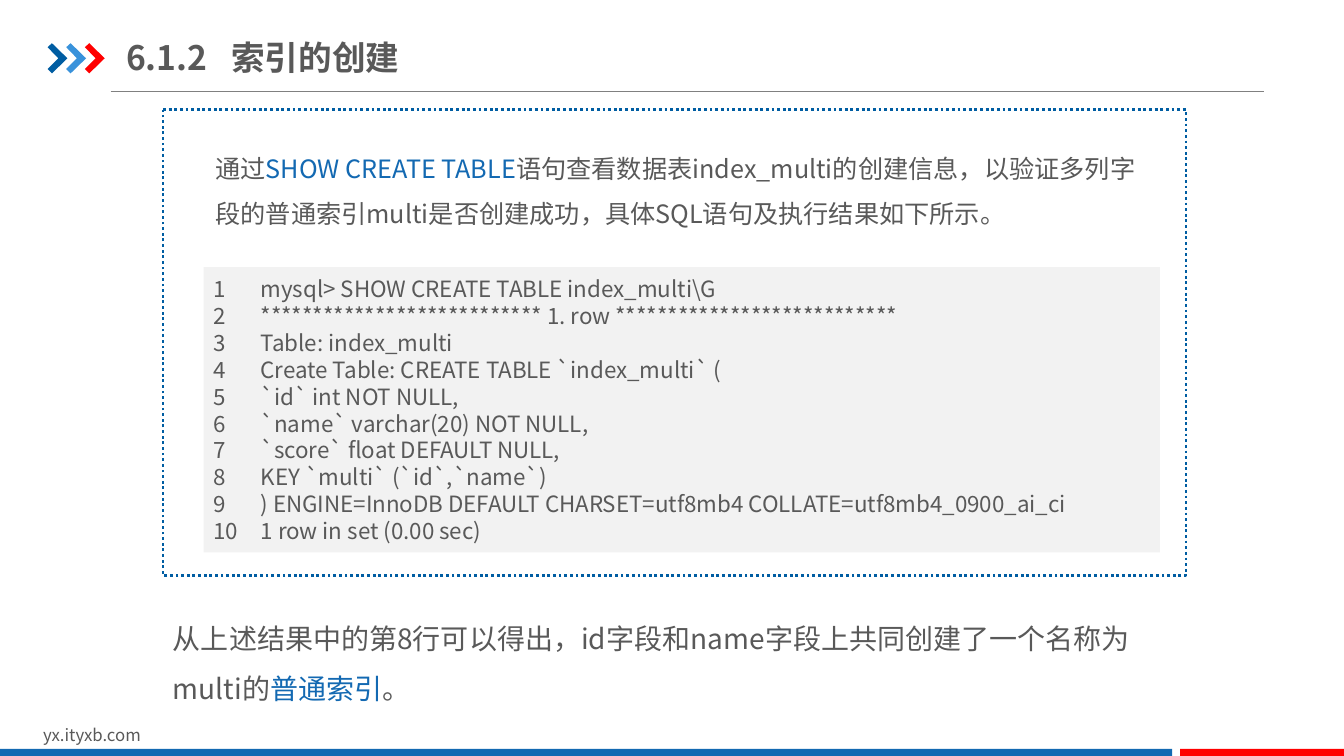
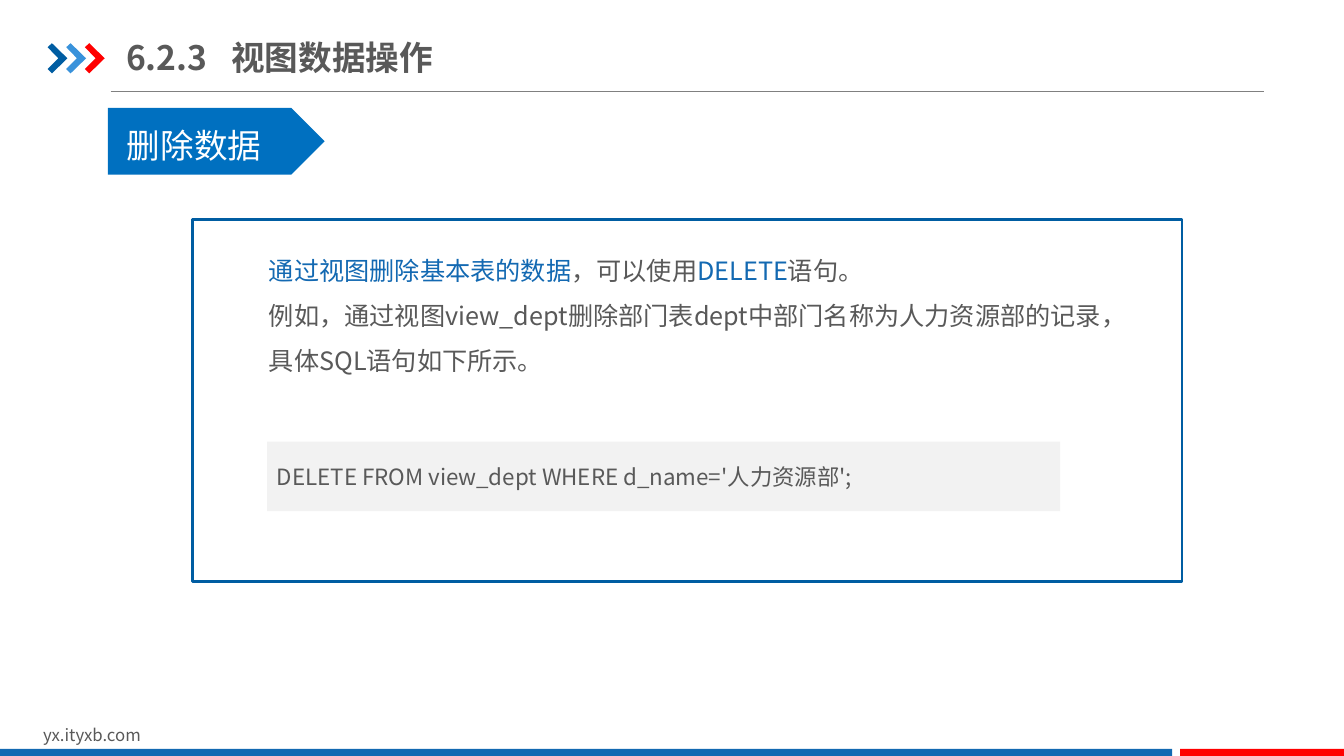
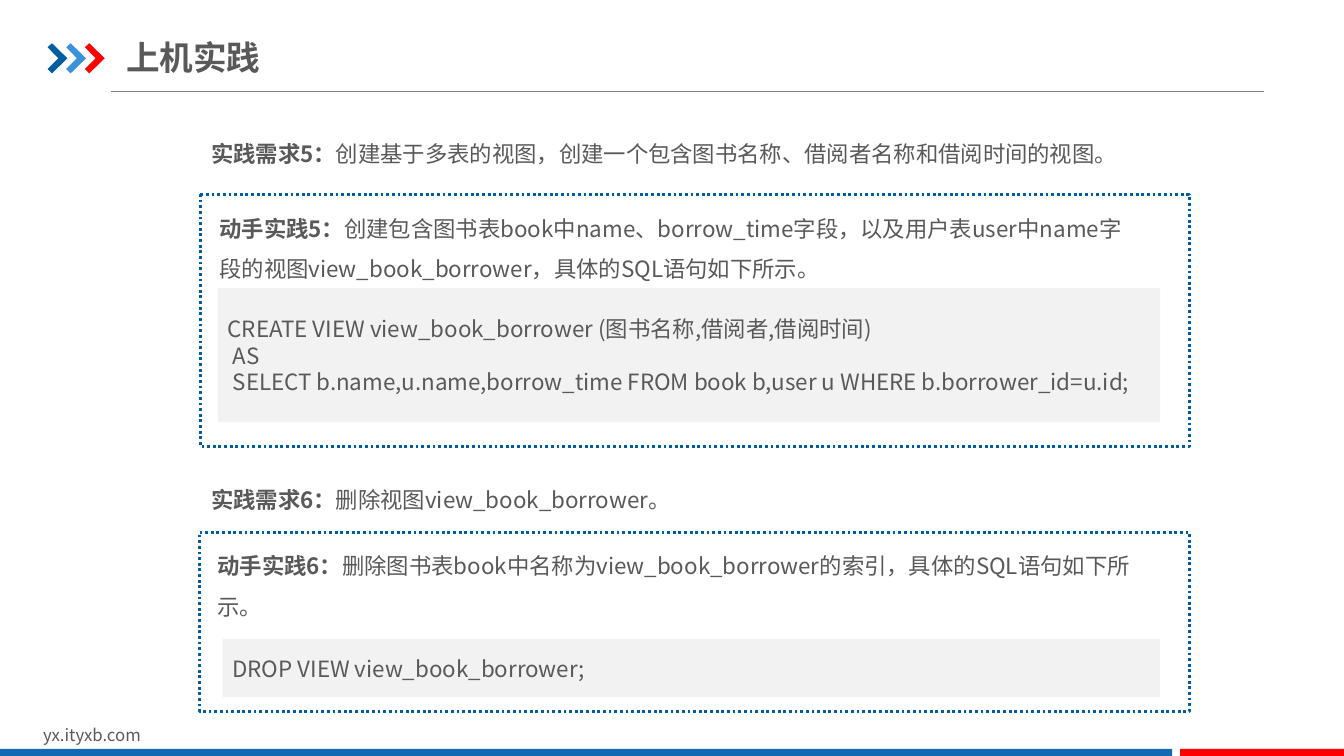
from lxml import etree
from pptx import Presentation
from pptx.dml.color import RGBColor
from pptx.enum.dml import MSO_LINE
from pptx.enum.shapes import MSO_CONNECTOR, MSO_SHAPE
from pptx.enum.text import MSO_ANCHOR, MSO_AUTO_SIZE, PP_ALIGN
from pptx.oxml.ns import qn
from pptx.util import Cm, Pt

# Enum members
RECT, PLATE = MSO_SHAPE.RECTANGLE, MSO_SHAPE.PENTAGON
PROCESS = MSO_SHAPE.FLOWCHART_PROCESS
STRAIGHT = MSO_CONNECTOR.STRAIGHT
DOTS, SOLID = MSO_LINE.ROUND_DOT, MSO_LINE.SOLID
LEFT, MIDDLE = PP_ALIGN.LEFT, MSO_ANCHOR.MIDDLE
GROW, FIXED = MSO_AUTO_SIZE.SHAPE_TO_FIT_TEXT, MSO_AUTO_SIZE.NONE

# Colours and font
WHITE = RGBColor(0xFF, 0xFF, 0xFF)
INK = RGBColor(0x59, 0x59, 0x59)
GREY = RGBColor(0x80, 0x80, 0x80)
PALE = RGBColor(0xF2, 0xF2, 0xF2)
NAVY = RGBColor(0x00, 0x5D, 0xA2)
SKY = RGBColor(0x39, 0x92, 0xDB)
BLUE = RGBColor(0x13, 0x69, 0xB2)
AZURE = RGBColor(0x00, 0x70, 0xC0)
RED = RGBColor(0xFF, 0x00, 0x00)
FACE = "Noto Sans CJK SC"

WIDTH, HEIGHT = 33.87, 19.05
ARROW = [(0, 0.1), (0.11, 0), (0.5, 0.38), (0.11, 0.76), (0, 0.65), (0.27, 0.38)]


def apply(item, values):
    for name, value in values.items():
        setattr(item, name, value)


def blue(text):
    return text, {"color": BLUE}


def bold(text):
    return text, {"bold": True}


class Deck:
    """Holds the style and the current slide."""

    def __init__(self):
        self.prs = Presentation()
        apply(self.prs, {"slide_width": Cm(WIDTH), "slide_height": Cm(HEIGHT)})
        self.slide = None

    def page(self, title):
        self.slide = self.prs.slides.add_slide(self.prs.slide_layouts[5])
        # Title
        head = self.slide.shapes.title
        apply(head, {"left": Cm(3.18), "top": Cm(0.74),
                     "width": Cm(11.79), "height": Cm(1.4)})
        apply(head.text_frame, {
            "auto_size": FIXED, "vertical_anchor": MIDDLE,
            "margin_left": 0, "margin_right": 0,
            "margin_top": Cm(0.18), "margin_bottom": Cm(0.18)})
        self.fill(head.text_frame, [[bold(title)]], 24, tab=2.65)
        # Rule and arrows
        rule = self.slide.shapes.add_connector(
            STRAIGHT, Cm(2.79), Cm(2.31), Cm(31.85), Cm(2.31))
        rule.line.width = Pt(0.75)
        rule.line.color.rgb = GREY
        etree.SubElement(rule._element.spPr, qn("a:effectLst"))
        for i, color in enumerate((NAVY, SKY, RED)):
            self.arrow(1.2 + 0.47 * i, 1.09, color)
        # Footer
        self.text((0.84, 18.14, 8.08, 0.76), [["yx.ityxb.com"]], 12)
        for left, right, color in ((0, 29.54, BLUE), (29.74, WIDTH, RED)):
            self.block(RECT, (left, 18.87, right - left, 0.18), color)

    def paint(self, shape, color):
        shape.shadow.inherit = False
        shape.fill.solid()
        shape.fill.fore_color.rgb = color
        shape.line.fill.background()

    def arrow(self, left, top, color):
        points = [(Cm(left + x), Cm(top + y)) for x, y in ARROW]
        pen = self.slide.shapes.build_freeform(*points[0])
        pen.add_line_segments(points[1:], close=True)
        self.paint(pen.convert_to_shape(), color)

    def block(self, kind, place, color):
        shape = self.slide.shapes.add_shape(kind, *map(Cm, place))
        self.paint(shape, color)
        return shape

    def frame(self, place, dash=DOTS):
        line = self.block(PROCESS, place, WHITE).line
        line.color.rgb = NAVY
        apply(line, {"width": Pt(2), "dash_style": dash})

    def code(self, place, lines, tab=None):
        frame = self.block(RECT, place, PALE).text_frame
        apply(frame, {"word_wrap": True, "vertical_anchor": MIDDLE})
        self.fill(frame, [[line] for line in lines], 16, tab=tab)

    def text(self, place, paras, size, **style):
        frame = self.slide.shapes.add_textbox(*map(Cm, place)).text_frame
        apply(frame, {"word_wrap": True, "auto_size": GROW})
        self.fill(frame, paras, size, **style)

    def fill(self, frame, paras, size, color=INK, space=None, indent=None, tab=None):
        for i, runs in enumerate(paras):
            para = frame.add_paragraph() if i else frame.paragraphs[0]
            apply(para, {"alignment": LEFT, "line_spacing": space})
            props = para._p.get_or_add_pPr()
            if indent:
                props.set("indent", str(Cm(indent)))
            if tab:
                stops = etree.SubElement(props, qn("a:tabLst"))
                etree.SubElement(stops, qn("a:tab"), pos=str(Cm(tab)), algn="l")
            for part in runs:
                words, extra = (part, {}) if isinstance(part, str) else part
                run = para.add_run()
                run.text = words
                apply(run.font, {"name": FACE, "size": Pt(size),
                                 "bold": extra.get("bold", False)})
                run.font.color.rgb = extra.get("color", color)
                etree.SubElement(run._r.get_or_add_rPr(), qn("a:ea"), typeface=FACE)


def index(deck):
    deck.page("6.1.2\t索引的创建")
    deck.text((4.11, 15.11, 25.78, 2.82), [[
        "从上述结果中的第8行可以得出，id字段和name字段上共同创建了一个名称为multi的",
        blue("普通索引"), "。"]], 20, space=1.5)
    deck.frame((4.11, 2.77, 25.78, 11.73))
    deck.text((5.18, 3.35, 23.7, 2.57), [[
        "通过", blue("SHOW CREATE TABLE"),
        "语句查看数据表index_multi的创建信息，以验证多列字段的普通索引multi"
        "是否创建成功，具体SQL语句及执行结果如下所示。"]], 18, space=1.5)
    stars = "*" * 27
    lines = [
        r"mysql> SHOW CREATE TABLE index_multi\G",
        f"{stars} 1. row {stars}",
        "Table: index_multi",
        "Create Table: CREATE TABLE `index_multi` (",
        "`id` int NOT NULL,",
        "`name` varchar(20) NOT NULL,",
        "`score` float DEFAULT NULL,",
        "KEY `multi` (`id`,`name`)",
        ") ENGINE=InnoDB DEFAULT CHARSET=utf8mb4 COLLATE=utf8mb4_0900_ai_ci",
        "1 row in set (0.00 sec)",
    ]
    deck.code((5.13, 6.73, 24.1, 7.19),
              [f"{i}\t{line}" for i, line in enumerate(lines, 1)], tab=1.19)


def delete(deck):
    deck.page("6.2.3\t视图数据操作")
    deck.frame((4.85, 5.54, 24.94, 9.12), SOLID)
    deck.text((6.53, 5.92, 21.97, 3.71), [
        [blue("通过视图删除基本表的数据"), "，可以使用", blue("DELETE"), "语句。"],
        ["例如，通过视图view_dept删除部门表dept中部门名称为人力资源部的记录，"
         "具体SQL语句如下所示。"]], 18, space=1.5)
    deck.block(PLATE, (2.72, 2.72, 5.46, 1.68), AZURE)
    deck.text((2.95, 2.51, 5.05, 1.8), [["删除数据"]], 24, color=WHITE, space=1.5)
    deck.code((6.73, 11.13, 19.99, 1.75),
              ["DELETE FROM view_dept WHERE d_name='人力资源部';"])


def practice(deck):
    deck.page("上机实践")
    # Needs
    needs = [
        ((4.34, 3.07, 28.07, 1.27), "实践需求5：",
         "创建基于多表的视图，创建一个包含图书名称、借阅者名称和借阅时间的视图。"),
        ((4.34, 11.79, 25.98, 1.96), "实践需求6：", "删除视图view_book_borrower。"),
    ]
    for place, label, words in needs:
        deck.text(place, [[bold(label), words]], 16, space=1.5, indent=0.73)
    # Tasks
    tasks = [
        ((5.05, 4.9, 24.92, 6.35), (5.28, 4.95, 23.67, 2.31), "动手实践5：",
         "创建包含图书表book中name、borrow_time字段，以及用户表user中name字段的视图"
         "view_book_borrower，具体的SQL语句如下所示。",
         (5.49, 7.26, 23.75, 3.38),
         ["CREATE VIEW view_book_borrower (图书名称,借阅者,借阅时间)",
          " AS",
          " SELECT b.name,u.name,borrow_time FROM book b,user u "
          "WHERE b.borrower_id=u.id;"]),
        ((5.03, 13.41, 24.94, 4.52), (5.23, 13.46, 23.67, 2.31), "动手实践6：",
         "删除图书表book中名称为view_book_borrower的索引，具体的SQL语句如下所示。",
         (5.61, 16.1, 23.62, 1.47), ["DROP VIEW view_book_borrower;"]),
    ]
    for edge, place, label, words, panel, lines in tasks:
        deck.frame(edge)
        deck.text(place, [[bold(label), words]], 16, space=1.5)
        deck.code(panel, lines)


def main():
    deck = Deck()
    for build in (index, delete, practice):
        build(deck)
    deck.prs.save("out.pptx")


if __name__ == "__main__":
    main()
